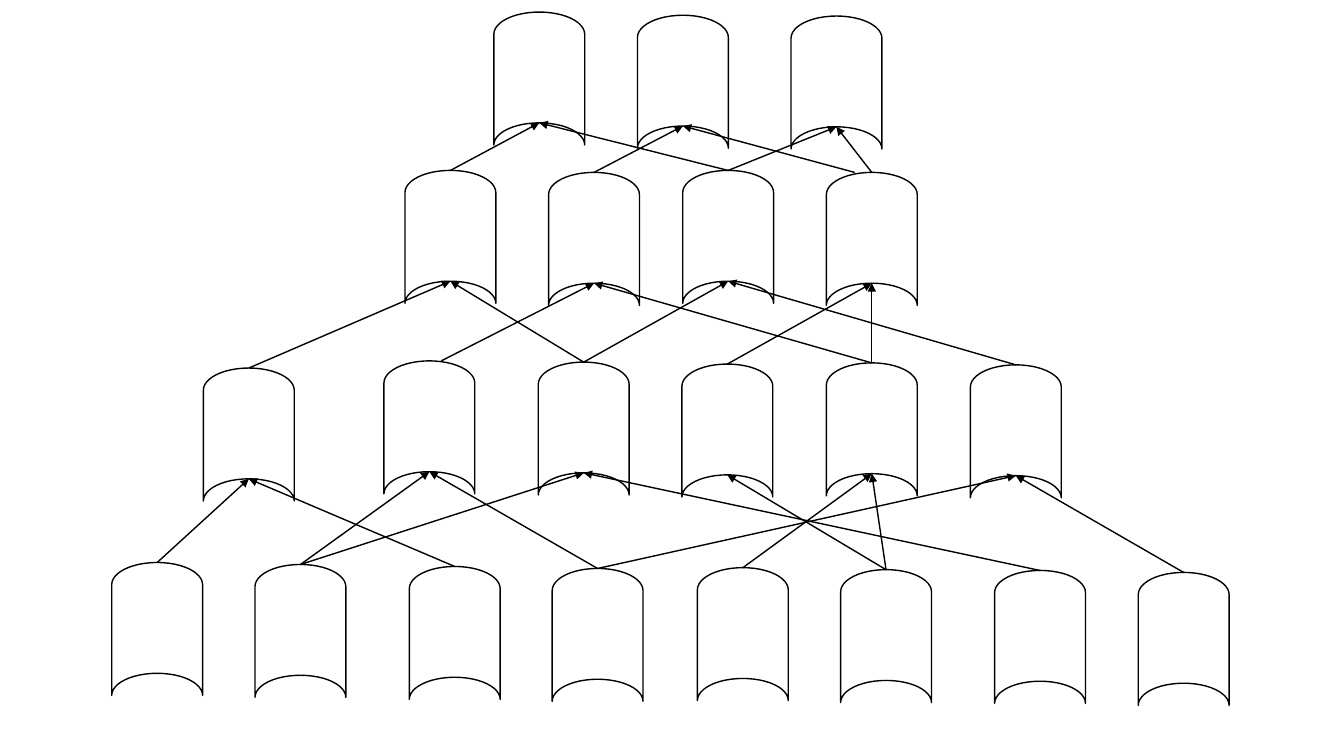
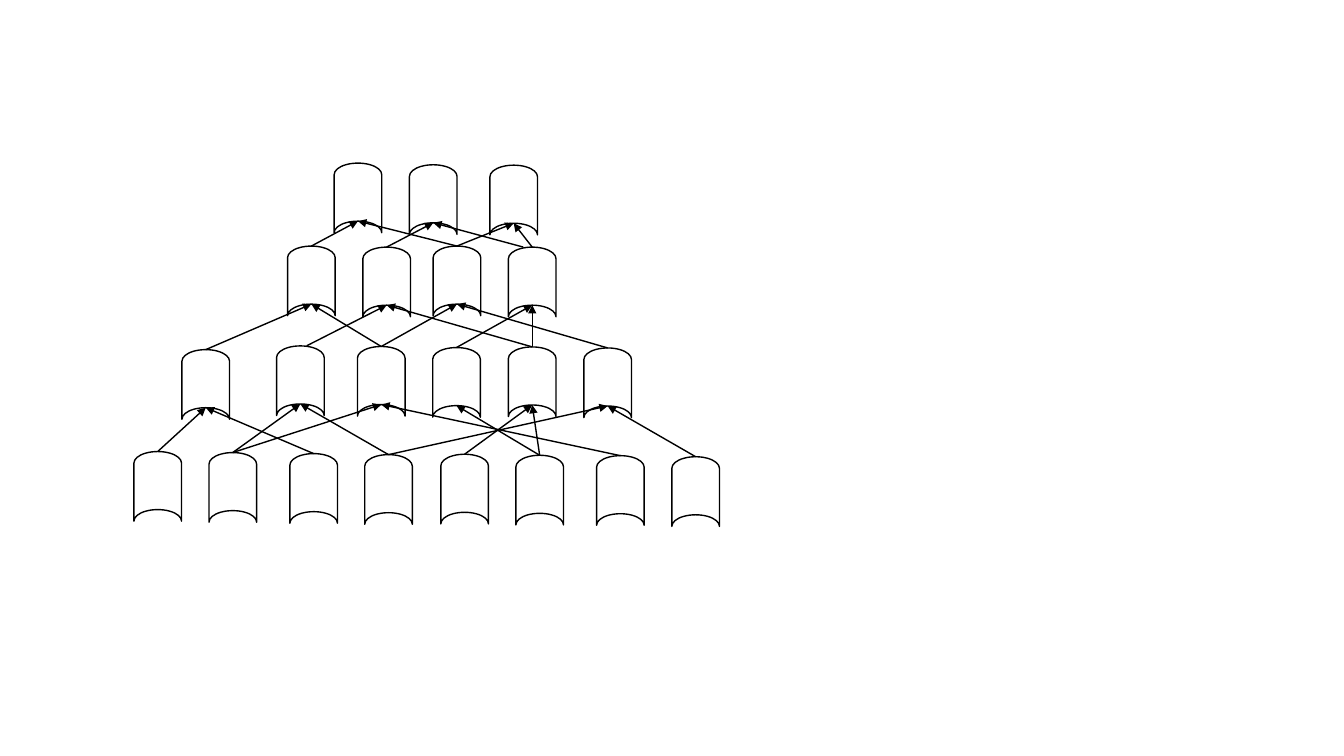
from dataclasses import dataclass

from pptx import Presentation
from pptx.dml.color import RGBColor
from pptx.enum.shapes import MSO_CONNECTOR, MSO_SHAPE
from pptx.oxml.ns import qn
from pptx.util import Cm, Pt
from lxml.etree import SubElement


@dataclass(frozen=True)
class Theme:
    ink: RGBColor = RGBColor(0, 0, 0)
    line: Pt = Pt(1)
    wide: float = 2.29
    high: float = 3.35


@dataclass(frozen=True)
class View:
    left: float
    top: float
    scale: float

    def map(self, x, y):
        return self.left + x * self.scale, self.top + y * self.scale


THEME = Theme()
VIEWS = [View(0, 0, 1), View(1.9, 3.95, 0.524)]

ROWS = [
    [(3.96, 15.85), (7.57, 15.9), (11.46, 15.95), (15.06, 16),
     (18.72, 15.98), (22.33, 16.03), (26.21, 16.05), (29.83, 16.1)],
    [(6.27, 10.95), (10.82, 10.77), (14.71, 10.8),
     (18.33, 10.85), (21.97, 10.82), (25.6, 10.87)],
    [(11.35, 5.97), (14.97, 6.02), (18.35, 5.97), (21.97, 6.02)],
    [(13.59, 1.98), (17.21, 2.06), (21.08, 2.08)],
]

LINKS = [
    [(0, 0), (2, 0), (1, 2), (6, 2), (3, 1), (5, 3),
     (4, 4), (7, 5), (3, 5), (5, 4), (1, 1)],
    [(0, 0), (2, 0), (1, 1), (5, 2), (4, 1), (3, 3), (2, 2), (4, 3)],
    [(0, 0), (2, 0), (1, 1), (3, 2), (3, 1), (2, 2)],
]

SHIFTS = {(1, 1, 1): 0.3, (2, 3, 1): -0.43}


def ink(item):
    item.line.color.rgb = THEME.ink
    item.line.width = THEME.line


def drum(group, view, spot):
    x, y = view.map(*spot)
    wide, high = THEME.wide * view.scale, THEME.high * view.scale
    shape = group.shapes.add_shape(
        MSO_SHAPE.FLOWCHART_STORED_DATA,
        Cm(x - high / 2), Cm(y - wide / 2), Cm(high), Cm(wide))
    shape.rotation = 90
    shape.shadow.inherit = False
    shape.fill.background()
    ink(shape)


def arrow(group, view, start, end):
    ends = [Cm(v) for spot in (start, end) for v in view.map(*spot)]
    link = group.shapes.add_connector(MSO_CONNECTOR.STRAIGHT, *ends)
    ink(link)
    SubElement(link.line._get_or_add_ln(), qn("a:tailEnd"), type="triangle")
    SubElement(link._element.spPr, qn("a:effectLst"))


def graph(slide, view):
    group = slide.shapes.add_group_shape()
    for row in ROWS:
        for spot in row:
            drum(group, view, spot)
    for level, pairs in enumerate(LINKS):
        for low, up in pairs:
            x, y = ROWS[level][low]
            to_x, to_y = ROWS[level + 1][up]
            shift = SHIFTS.get((level, low, up), 0)
            arrow(group, view, (x + shift, y - THEME.high / 2),
                  (to_x, to_y + THEME.high / 3))


def main():
    deck = Presentation()
    deck.slide_width, deck.slide_height = Cm(33.87), Cm(19.05)
    for view in VIEWS:
        graph(deck.slides.add_slide(deck.slide_layouts[6]), view)
    deck.save("out.pptx")


if __name__ == "__main__":
    main()
